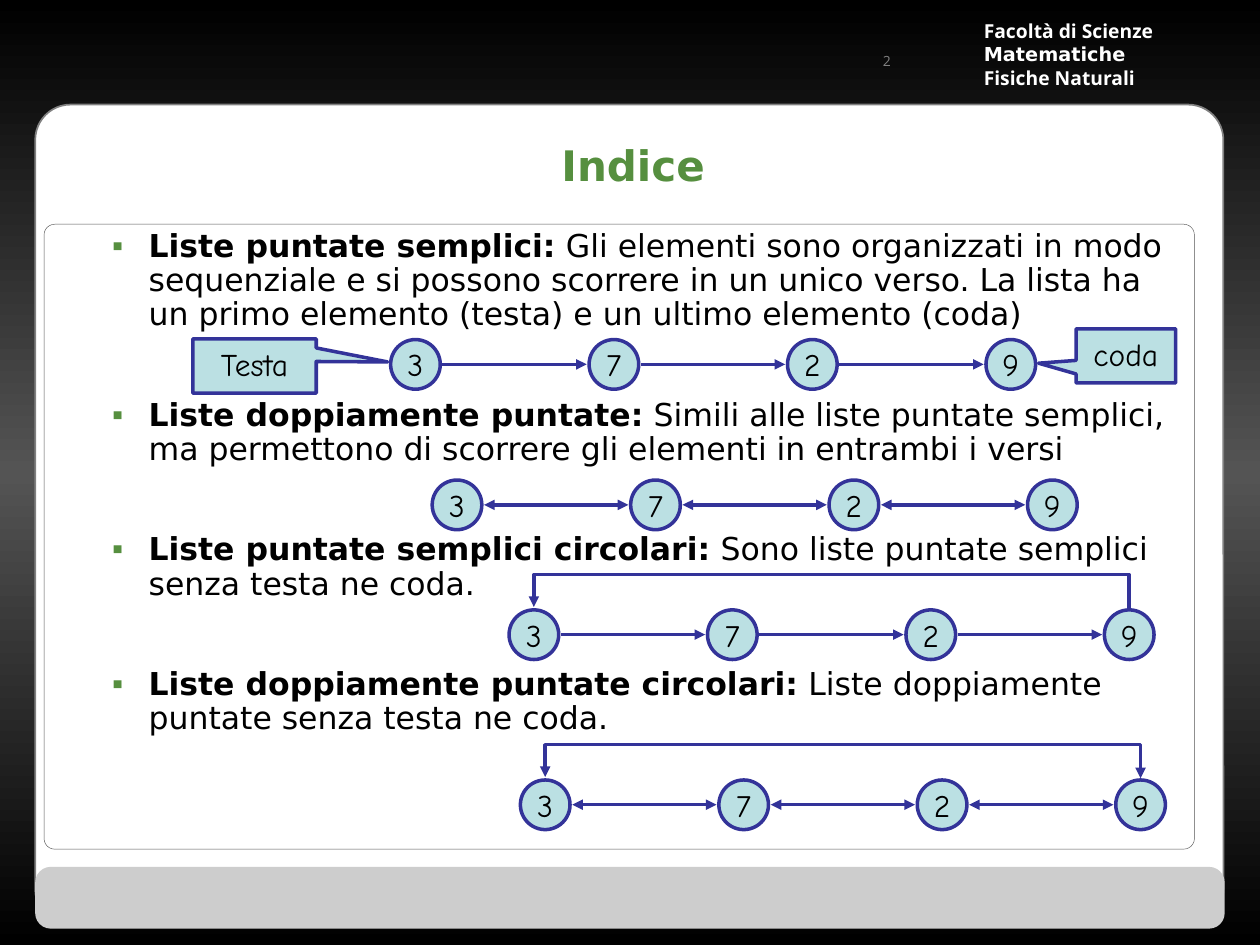
from copy import deepcopy
from dataclasses import dataclass
from lxml.etree import SubElement as Sub
from pptx import Presentation
from pptx.dml.color import RGBColor as RGB
from pptx.enum.shapes import MSO_CONNECTOR as Link, MSO_SHAPE as Shape
from pptx.enum.text import MSO_ANCHOR as Anchor, MSO_AUTO_SIZE as Fit, PP_ALIGN as Align
from pptx.oxml.ns import qn
from pptx.util import Inches, Pt


@dataclass(frozen=True)
class Theme:
    black: str = "000000"
    white: str = "FFFFFF"
    mid: str = "545454"
    gray: str = "808080"
    foot: str = "CDCDCD"
    green: str = "568F3F"
    navy: str = "333399"
    aqua: str = "BBE0E3"
    sans: str = "DejaVu Sans"
    open: str = "Open Sans"
    comic: str = "Comic Neue"
    title: float = 24
    text: float = 18
    head: float = 11
    small: float = 8
    line: float = 2


@dataclass(frozen=True)
class Box:
    """Place on a grid of 100 columns by 75 rows."""
    col: float
    row: float
    wide: float
    high: float

    def emu(self) -> tuple:
        return tuple(map(cell, (self.col, self.row, self.wide, self.high)))


@dataclass(frozen=True)
class Chain:
    col: float
    row: float
    both: bool = False
    ring: bool = False


@dataclass(frozen=True)
class Note:
    text: str
    box: Box
    tip: tuple


T = Theme()
NODES = "3729"
SIZE, STEP, GAP = 3.94, 15.75, 0.18
RISE = 2.7

PANELS = [
    (Box(2.8, 8.3, 94.3, 65.1), 0.043, T.white, T.gray, 1),
    (Box(2.8, 68.8, 94.4, 4.9), 0.252, T.foot, None, 0),
]
FRAME = (Box(3.5, 17.8, 91.3, 49.6), 0.017, None, T.mid, 0.25)
CHAINS = [
    Chain(34.3, 38.1, both=True),
    Chain(40.4, 48.4, ring=True),
    Chain(41.3, 61.9, both=True, ring=True),
    Chain(31, 26.95),
]
NOTES = [
    Note("Testa", Box(15.3, 26.9, 9.8, 4.3), (1.078, -0.075)),
    Note("coda", Box(85.4, 26.1, 7.9, 4.3), (-0.877, 0.136)),
]
ITEMS = [
    ("Liste puntate semplici:", " Gli elementi sono organizzati in modo sequenziale e si possono "
     "scorrere in un unico verso. La lista ha un primo elemento (testa) e un ultimo elemento (coda)"),
    ("Liste doppiamente puntate:", " Simili alle liste puntate semplici, ma permettono di scorrere "
     "gli elementi in entrambi i versi"),
    ("Liste puntate semplici circolari:", " Sono liste puntate semplici senza testa ne coda."),
    ("Liste doppiamente puntate circolari:", " Liste doppiamente puntate senza testa ne coda."),
]
HEADER = [("Facoltà di Scienze", T.open), ("Matematiche", T.sans), ("Fisiche Naturali", T.open)]


def cell(n: float) -> int:
    return Inches(n / 10)


def write(para, text: str, size: float, face: str, color: str = T.black, bold: bool = False) -> None:
    run = para.add_run()
    run.text = text
    font = run.font
    font.size, font.name, font.bold = Pt(size), face, bold
    font.color.rgb = RGB.from_string(color)


def draw(shapes, kind, box: Box, fill=None, line=None, width: float = T.line, adj: tuple = ()):
    shape = shapes.add_shape(kind, *box.emu())
    shape.shadow.inherit = False
    if fill:
        shape.fill.solid()
        shape.fill.fore_color.rgb = RGB.from_string(fill)
    else:
        shape.fill.background()
    if line:
        shape.line.color.rgb = RGB.from_string(line)
        shape.line.width = Pt(width)
    else:
        shape.line.fill.background()
    for i, value in enumerate(adj):
        shape.adjustments[i] = value
    return shape


def panel(shapes, box: Box, round_: float, fill, line, width: float) -> None:
    draw(shapes, Shape.ROUNDED_RECTANGLE, box, fill, line, width, (round_,))


def label(shape, text: str, anchor, wrap: bool) -> None:
    frame = shape.text_frame
    frame.word_wrap, frame.vertical_anchor = wrap, anchor
    para = frame.paragraphs[0]
    para.alignment = Align.CENTER
    write(para, text, T.text, T.comic)


def arrow(shapes, kind, ends: tuple, both: bool):
    link = shapes.add_connector(kind, *map(cell, ends))
    link.line.color.rgb = RGB.from_string(T.navy)
    link.line.width = Pt(T.line)
    props = link._element.spPr
    line = props.find(qn("a:ln"))
    for tag in ["a:headEnd"] * both + ["a:tailEnd"]:
        Sub(line, qn(tag), type="triangle")
    Sub(props, qn("a:effectLst"))
    return link


def loop(shapes, chain: Chain) -> None:
    """Elbow from the last node over the row to the first, turned a quarter."""
    span, thin = STEP * (len(NODES) - 1), 0.1
    x = chain.col + SIZE / 2 + span / 2
    y = chain.row - GAP
    ends = (x - thin / 2, y + span / 2, x + thin / 2, y - span / 2)
    props = arrow(shapes, Link.ELBOW, ends, chain.both)._element.spPr
    props.find(qn("a:xfrm")).set("rot", str(270 * 60000))
    guide = props.find(qn("a:prstGeom")).find(qn("a:avLst"))
    Sub(guide, qn("a:gd"), name="adj1", fmla=f"val {round(RISE / thin * 100000)}")


def row(shapes, chain: Chain) -> None:
    for i, text in enumerate(NODES):
        x = chain.col + i * STEP
        node = draw(shapes, Shape.OVAL, Box(x, chain.row, SIZE, SIZE), T.aqua, T.navy)
        label(node, text, Anchor.MIDDLE, False)
        if i < len(NODES) - 1:
            y = chain.row + SIZE / 2
            arrow(shapes, Link.STRAIGHT, (x + SIZE + GAP, y, x + STEP - GAP, y), chain.both)
    if chain.ring:
        loop(shapes, chain)


def place(shape, box: Box, anchor):
    shape.left, shape.top, shape.width, shape.height = box.emu()
    frame = shape.text_frame
    frame.auto_size, frame.word_wrap, frame.vertical_anchor = Fit.NONE, True, anchor
    return frame


def bullet(para) -> None:
    props = para._p.get_or_add_pPr()
    props.set("marL", str(Inches(0.58)))
    props.set("indent", str(Inches(-0.29)))
    Sub(Sub(props, qn("a:buClr")), qn("a:srgbClr"), val=T.green)
    Sub(props, qn("a:buChar"), char="▪")


def backdrop(slide) -> None:
    fill = slide.background.fill
    fill.gradient()
    fill.gradient_angle = 90
    for stop in fill.gradient_stops:
        stop.color.rgb = RGB.from_string(T.black)
    stops = fill._xPr.find(".//" + qn("a:gsLst"))
    middle = deepcopy(stops[0])
    middle.set("pos", "50000")
    middle[0].set("val", T.mid)
    stops.insert(1, middle)


def main() -> None:
    deck = Presentation()
    deck.slide_width, deck.slide_height = cell(100), cell(75)
    slide = deck.slides.add_slide(deck.slide_layouts[1])
    shapes = slide.shapes
    title, body = slide.placeholders

    # Background, panels and faculty header
    backdrop(slide)
    for item in PANELS:
        panel(shapes, *item)
    head = shapes.add_textbox(*Box(77.1, 2.2, 18.3, 4.2).emu()).text_frame
    head.word_wrap, head.vertical_anchor = False, Anchor.MIDDLE
    for i, (text, face) in enumerate(HEADER):
        para = head.add_paragraph() if i else head.paragraphs[0]
        write(para, text, T.head, face, T.white, True)

    # Title and list, raised above the panels
    for holder in (title, body):
        shapes._spTree.append(holder._element)
    para = place(title, Box(3.5, 8.4, 93.5, 9.4), Anchor.MIDDLE).paragraphs[0]
    para.alignment = Align.CENTER
    write(para, "Indice", T.title, T.sans, T.green, True)
    frame = place(body, Box(5, 17.8, 90, 49.2), Anchor.TOP)
    for i, (term, text) in enumerate(ITEMS):
        para = frame.add_paragraph() if i else frame.paragraphs[0]
        bullet(para)
        para.line_spacing, para.space_before = 0.9, Pt(38 if i else 0)
        write(para, term, T.text, T.sans, bold=True)
        write(para, text, T.text, T.sans)

    # Linked lists and callouts
    for chain in CHAINS:
        row(shapes, chain)
    for note in NOTES:
        shape = draw(shapes, Shape.RECTANGULAR_CALLOUT, note.box, T.aqua, T.navy, adj=note.tip)
        label(shape, note.text, Anchor.TOP, True)

    # Frame and page number
    panel(shapes, *FRAME)
    page = place(shapes.add_textbox(0, 0, 0, 0), Box(64.2, 2.3, 7.5, 5), Anchor.MIDDLE).paragraphs[0]
    page.alignment = Align.RIGHT
    write(page, "2", T.small, T.open, T.gray)

    deck.save("out.pptx")


if __name__ == "__main__":
    main()
